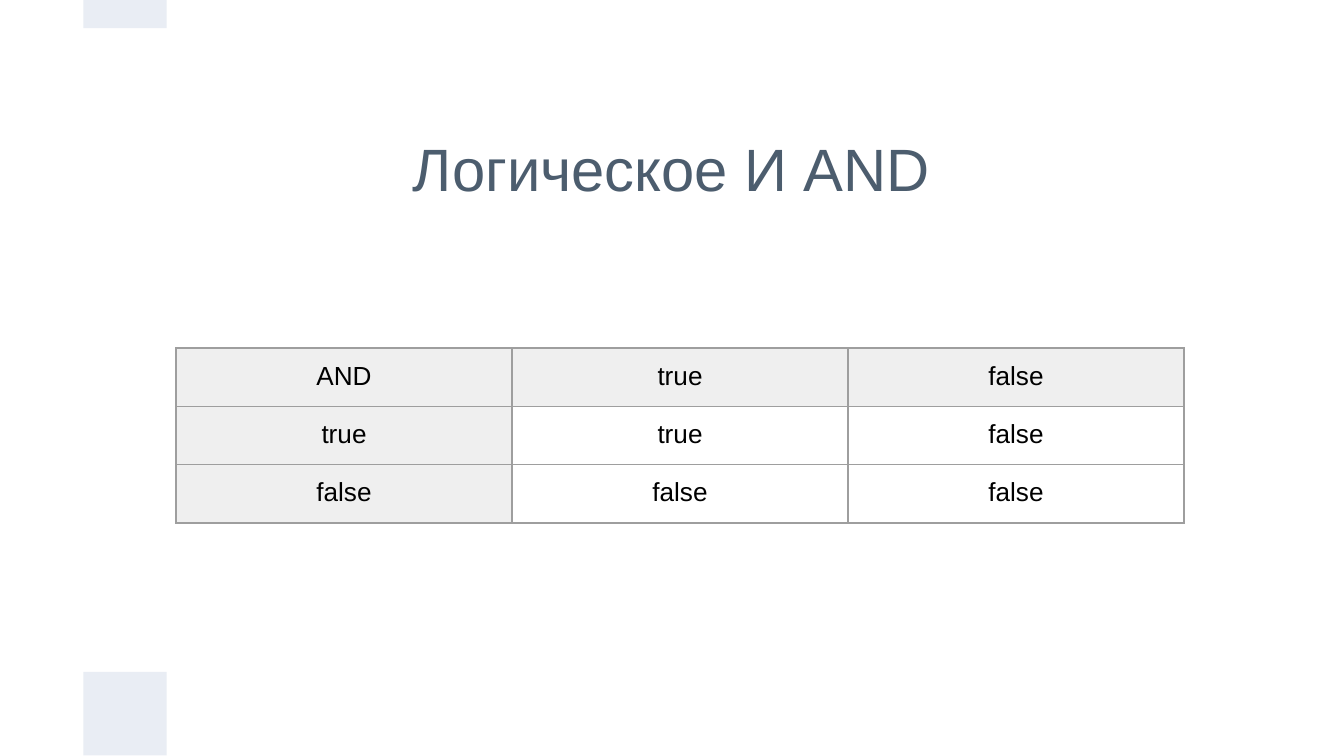
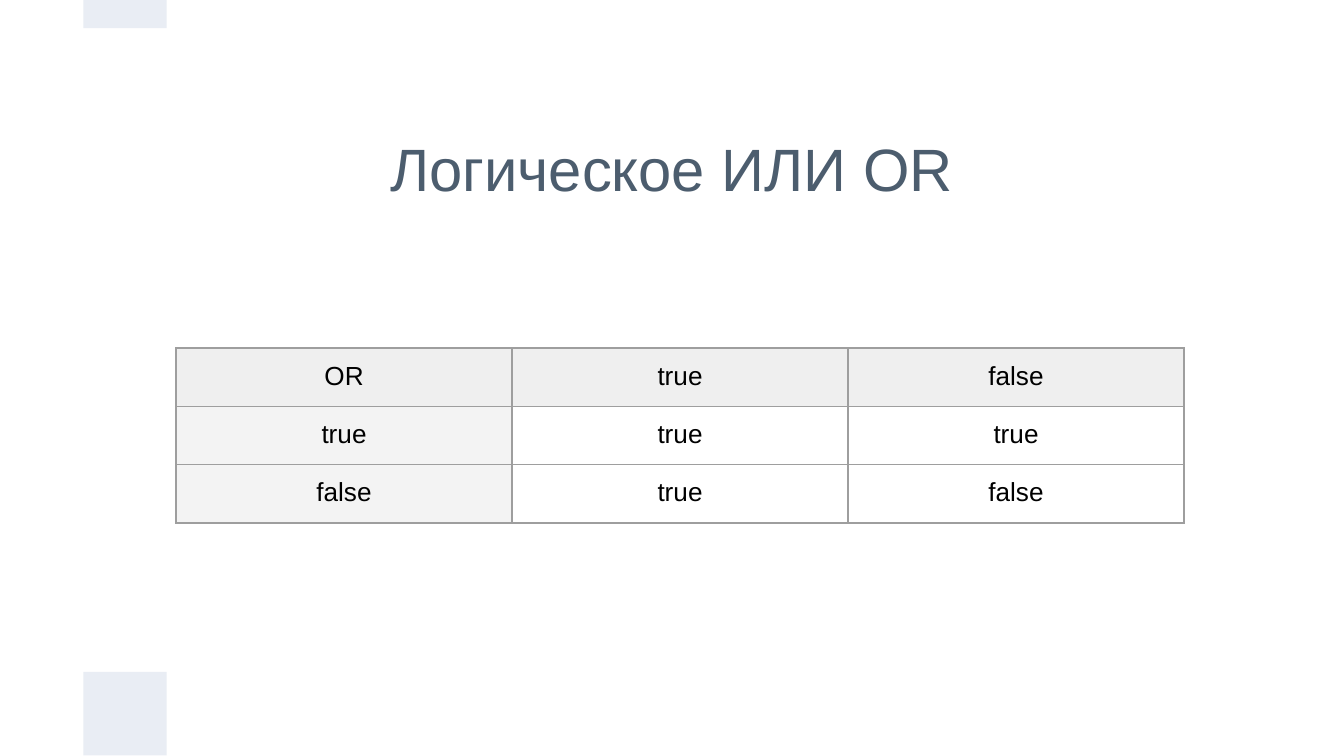
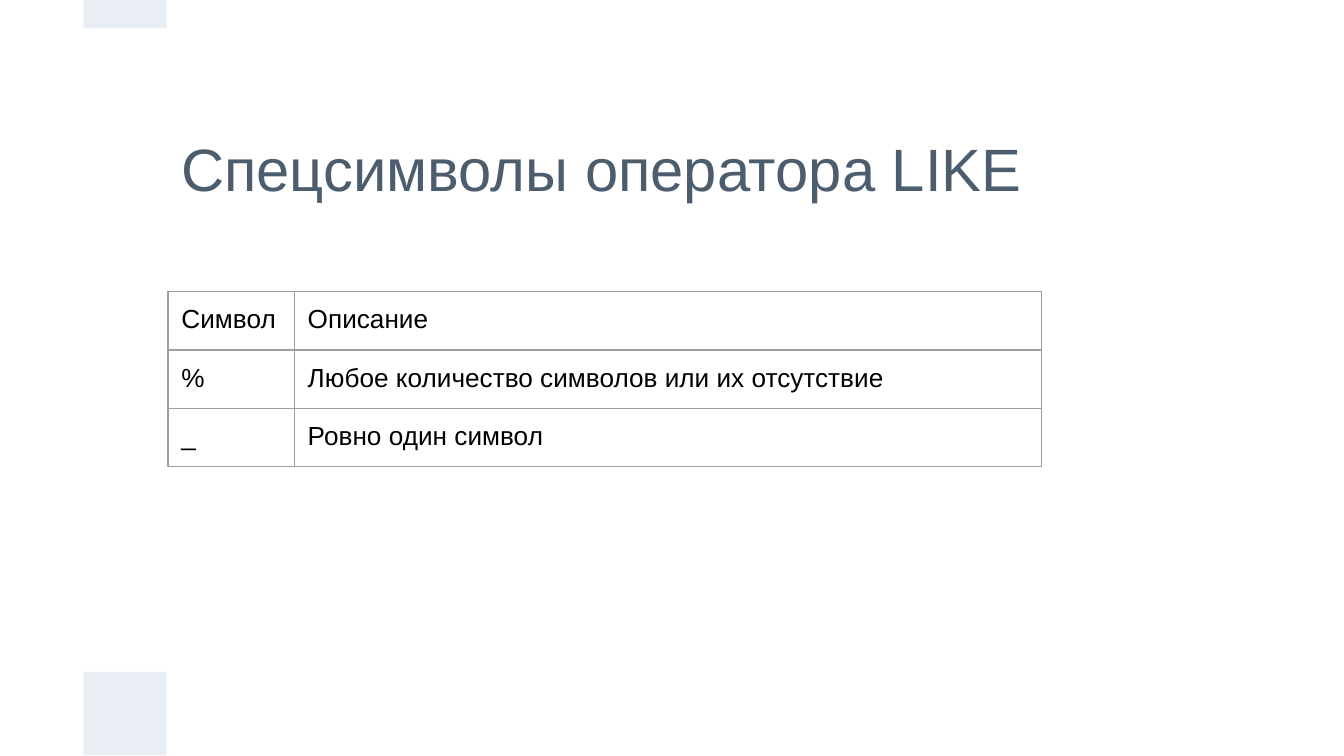
from lxml import etree
from pptx import Presentation
from pptx.dml.color import RGBColor
from pptx.enum.shapes import MSO_SHAPE
from pptx.enum.text import MSO_ANCHOR, PP_ALIGN
from pptx.oxml.ns import qn
from pptx.util import Inches, Pt

RECTANGLE = MSO_SHAPE.RECTANGLE
MIDDLE = MSO_ANCHOR.MIDDLE
LEFT, CENTER = PP_ALIGN.LEFT, PP_ALIGN.CENTER

BAND = RGBColor(0xE9, 0xED, 0xF4)
TITLE = RGBColor(0x4C, 0x5D, 0x6E)
BODY = RGBColor(0x00, 0x00, 0x00)
BORDER = RGBColor(0x9E, 0x9E, 0x9E)
HEADER = RGBColor(0xEF, 0xEF, 0xEF)
PALE_HEADER = RGBColor(0xF3, 0xF3, 0xF3)

FONT = "Arial"
INSET = Inches(0.1)
ROW_HEIGHT = Inches(0.42)
BANDS = [(5, 0.62), (0, 0.21)]  # top, height

SLIDES = [
    {
        "title": "Логическое И AND", "title_width": 7.5, "align": CENTER,
        "table_at": (1.31, 2.59), "columns": [2.5, 2.5, 2.5],
        "top_fill": HEADER, "side_fill": HEADER,
        "rows": [
            ["AND", "true", "false"],
            ["true", "true", "false"],
            ["false", "false", "false"],
        ],
    },
    {
        "title": "Логическое ИЛИ OR", "title_width": 7.5, "align": CENTER,
        "table_at": (1.31, 2.59), "columns": [2.5, 2.5, 2.5],
        "top_fill": HEADER, "side_fill": PALE_HEADER,
        "rows": [
            ["OR", "true", "false"],
            ["true", "true", "true"],
            ["false", "true", "false"],
        ],
    },
    {
        "title": "Спецсимволы оператора LIKE", "title_width": 8.07, "align": LEFT,
        "table_at": (1.25, 2.17), "columns": [0.94, 5.56],
        "top_fill": None, "side_fill": None,
        "rows": [
            ["Символ", "Описание"],
            ["%", "Любое количество символов или их отсутствие"],
            ["_", "Ровно один символ"],
        ],
    },
]


def write(frame, text, size, color, align):
    """Put one styled paragraph into a text frame with even insets."""
    frame.margin_left = frame.margin_right = INSET
    frame.margin_top = frame.margin_bottom = INSET
    frame.word_wrap = True
    paragraph = frame.paragraphs[0]
    paragraph.text = text
    paragraph.alignment = align
    paragraph.font.name = FONT
    paragraph.font.size = Pt(size)
    paragraph.font.color.rgb = color


def style_cell(cell, fill):
    """Give a table cell its insets, four borders and fill (None for no fill)."""
    cell.margin_left = cell.margin_right = INSET
    cell.margin_top = cell.margin_bottom = INSET
    properties = cell._tc.get_or_add_tcPr()
    for side in ("a:lnL", "a:lnR", "a:lnT", "a:lnB"):
        line = etree.SubElement(properties, qn(side), w=str(Pt(0.75)))
        solid = etree.SubElement(line, qn("a:solidFill"))
        etree.SubElement(solid, qn("a:srgbClr"), val=str(BORDER))
    if fill is None:
        cell.fill.background()
    else:
        cell.fill.solid()
        cell.fill.fore_color.rgb = fill


deck = Presentation()
deck.slide_width = Inches(10)
deck.slide_height = Inches(5.625)
blank = deck.slide_layouts[6]

for content in SLIDES:
    slide = deck.slides.add_slide(blank)

    for top, height in BANDS:
        band = slide.shapes.add_shape(
            RECTANGLE, Inches(0.62), Inches(top), Inches(0.62), Inches(height))
        band.shadow.inherit = False
        band.fill.solid()
        band.fill.fore_color.rgb = BAND
        band.line.fill.background()

    title = slide.shapes.add_textbox(
        Inches(1.25), Inches(0.62), Inches(content["title_width"]), Inches(1.25))
    title.text_frame.vertical_anchor = MIDDLE
    write(title.text_frame, content["title"], 32, TITLE, content["align"])

    rows, columns = content["rows"], content["columns"]
    left, top = content["table_at"]
    table = slide.shapes.add_table(
        len(rows), len(columns), Inches(left), Inches(top),
        Inches(sum(columns)), ROW_HEIGHT * len(rows)).table
    table.first_row = False
    table.horz_banding = False
    for column, width in zip(table.columns, columns):
        column.width = Inches(width)

    for r, row in enumerate(rows):
        table.rows[r].height = ROW_HEIGHT
        for c, text in enumerate(row):
            fill = None
            if r == 0:
                fill = content["top_fill"]
            elif c == 0:
                fill = content["side_fill"]
            cell = table.cell(r, c)
            write(cell.text_frame, text, 14, BODY, content["align"])
            style_cell(cell, fill)

deck.save("out.pptx")
